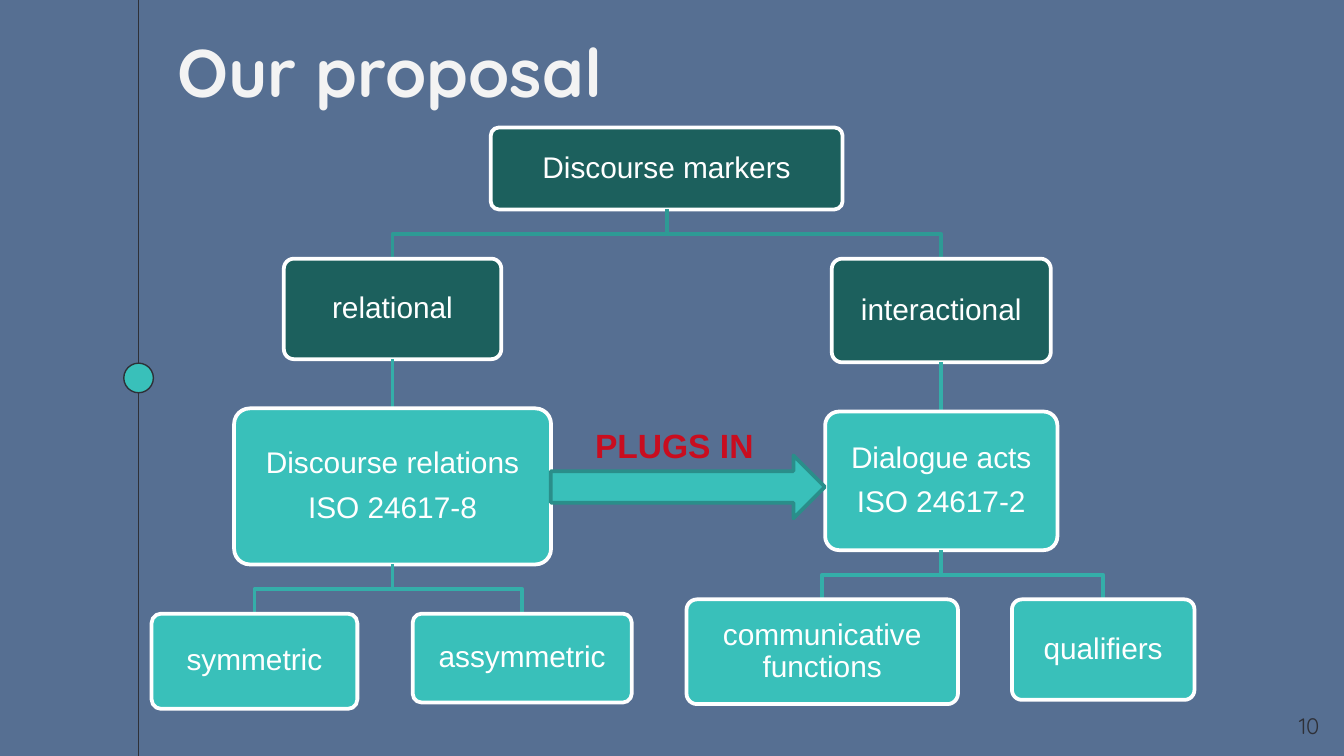
from dataclasses import dataclass

from lxml import etree
from pptx import Presentation
from pptx.dml.color import RGBColor
from pptx.enum.shapes import MSO_CONNECTOR, MSO_SHAPE
from pptx.enum.text import MSO_ANCHOR, MSO_AUTO_SIZE, PP_ALIGN
from pptx.oxml.ns import qn
from pptx.util import Cm, Pt

LINE = MSO_CONNECTOR.STRAIGHT
ROUND, OVAL, ARROW = MSO_SHAPE.ROUNDED_RECTANGLE, MSO_SHAPE.OVAL, MSO_SHAPE.RIGHT_ARROW
LEFT, MID, RIGHT = PP_ALIGN.LEFT, PP_ALIGN.CENTER, PP_ALIGN.RIGHT
TOP, CENTRE = MSO_ANCHOR.TOP, MSO_ANCHOR.MIDDLE
NO_FIT = MSO_AUTO_SIZE.NONE


@dataclass(frozen=True)
class Theme:
    """Colours, fonts and sizes of the slide."""
    back: str = "566F92"
    ink: str = "2E3037"
    pale: str = "F3F3F3"
    white: str = "FFFFFF"
    deep: str = "1C605D"
    teal: str = "39C0BA"
    edge: str = "2A8E8A"
    branch: str = "2E9A95"
    twig: str = "34AEA9"
    red: str = "C90D1F"
    head: str = "Quicksand"
    body: str = "Arial"
    title: int = 36
    label: int = 18
    node: int = 16
    small: int = 12
    thin: float = 0.75
    thick: float = 2


@dataclass(frozen=True)
class Node:
    """A tree node: centre and size in cm, lines of text, shift of each line."""
    lines: tuple
    mid: float
    wide: float
    high: float
    fill: str
    kids: tuple = ()
    link: str = ""
    shift: tuple = (0, 0)


T = Theme()
GAP = 0.93
TREE = Node(("Discourse markers",), 9.73, 6.65, 1.55, T.deep, link=T.branch, kids=(
    Node(("relational",), 4.55, 4.11, 1.9, T.deep, link=T.twig, kids=(
        Node(("Discourse relations", "ISO 24617-8"), 4.55, 5.99, 2.95, T.teal,
             link=T.twig, shift=(-0.31, 0), kids=(
                 Node(("symmetric",), 1.94, 3.89, 1.8, T.teal),
                 Node(("assymmetric",), 7, 4.14, 1.68, T.teal))),)),
    Node(("interactional",), 14.92, 4.14, 1.96, T.deep, link=T.twig, kids=(
        Node(("Dialogue acts", "ISO 24617-2"), 14.92, 4.39, 2.62, T.teal,
             link=T.twig, shift=(0, -0.31), kids=(
                 Node(("communicative functions",), 12.67, 5.13, 1.98, T.teal),
                 Node(("qualifiers",), 17.98, 3.45, 1.9, T.teal))),)),
))


def write(shape, *lines, size, color, font=T.body, bold=False, align=MID, anchor=CENTRE,
          inset=0.25, before=0, after=0, space=1, shift=(0, 0)):
    """Fill a shape with formatted paragraphs."""
    frame = shape.text_frame
    frame.text = "\n".join(lines)
    frame.word_wrap, frame.auto_size, frame.vertical_anchor = True, NO_FIT, anchor
    frame.margin_left = frame.margin_right = Cm(inset)
    frame.margin_top = frame.margin_bottom = Cm(inset)
    for para, move in zip(frame.paragraphs, shift):
        para.alignment, para.line_spacing = align, space
        para.space_before, para.space_after = Pt(before), Pt(after)
        if move:
            para._p.get_or_add_pPr().set("indent", str(Cm(move)))
        face = para.runs[0].font
        face.name, face.size, face.bold = font, Pt(size), bold
        face.color.rgb = RGBColor.from_string(color)


def stroke(shape, color, width):
    """Set the line of a shape or connector."""
    shape.line.color.rgb = RGBColor.from_string(color)
    shape.line.width = Pt(width)


def draw(slide, kind, box, fill, line, width):
    """Add a filled preset shape without shadow."""
    shape = slide.shapes.add_shape(kind, *map(Cm, box))
    shape.shadow.inherit = False
    shape.fill.solid()
    shape.fill.fore_color.rgb = RGBColor.from_string(fill)
    stroke(shape, line, width)
    return shape


def rule(slide, ends, color, width):
    """Add a straight line without shadow."""
    line = slide.shapes.add_connector(LINE, *map(Cm, ends))
    stroke(line, color, width)
    etree.SubElement(line._element.spPr, qn("a:effectLst"))


def link(slide, start, end, color):
    """Join two points with a straight or stepped line."""
    (x, y), (u, v) = start, end
    if x == u:
        rule(slide, (x, y, u, v), color, T.thick)
        return
    half = (y + v) / 2
    pen = slide.shapes.build_freeform(Cm(x), Cm(y))
    pen.add_line_segments([(Cm(a), Cm(b)) for a, b in ((x, half), (u, half), (u, v))],
                          close=False)
    step = pen.convert_to_shape()
    step.shadow.inherit = False
    step.fill.background()
    stroke(step, color, T.thick)


def grow(slide, node, left, top):
    """Draw a node and, below it, its links and children."""
    x, base = left + node.mid, top + node.high
    card = draw(slide, ROUND, (x - node.wide / 2, top, node.wide, node.high),
                node.fill, T.white, T.thick)
    card.adjustments[0] = 0.1
    write(card, *node.lines, size=T.node, color=T.white, inset=0.23,
          after=6.4, space=0.9, shift=node.shift)
    for kid in node.kids:
        link(slide, (x, base), (left + kid.mid, base + GAP), node.link)
        grow(slide, kid, left, base + GAP)


def rail(slide, box):
    """Draw the vertical line with its dot."""
    x, y, w, h = box
    mid = x + w / 2
    rule(slide, (mid, y, mid, y + h), T.ink, T.thin)
    draw(slide, OVAL, (x, y + (h - w) / 2, w, w), T.teal, T.ink, T.thin)


def head(slide, box):
    """Place the title."""
    title = slide.shapes.title
    title.left, title.top, title.width, title.height = map(Cm, box)
    write(title, "Our proposal", size=T.title, color=T.pale, font=T.head,
          bold=True, align=LEFT, before=6)


def page(slide, box):
    """Place the page number."""
    write(slide.shapes.add_textbox(*map(Cm, box)), "10", size=T.small, color=T.ink,
          font=T.head, align=RIGHT, anchor=TOP)


def plug(slide, box):
    """Draw the arrow with its label above."""
    x, y, w, h = box
    draw(slide, ARROW, (x, y + 0.71, w, h - 0.71), T.teal, T.edge, T.thick)
    note = slide.shapes.add_textbox(Cm(x + 0.33), Cm(y), Cm(4.01), Cm(1.02))
    write(note, "PLUGS IN", size=T.label, color=T.red, bold=True, anchor=TOP, inset=0.13)


def main():
    """Build and save the slide."""
    deck = Presentation()
    deck.slide_width, deck.slide_height = Cm(25.4), Cm(14.29)
    slide = deck.slides.add_slide(deck.slide_layouts[5])
    fill = slide.background.fill
    fill.solid()
    fill.fore_color.rgb = RGBColor.from_string(T.back)
    rail(slide, (2.34, 0, 0.56, 14.29))
    head(slide, (3.1, 0.48, 18.54, 1.7))
    page(slide, (23.67, 13.21, 1.52, 0.86))
    grow(slide, TREE, 2.87, 2.41)
    plug(slide, (10.41, 7.9, 5.18, 1.9))
    deck.save("out.pptx")


if __name__ == "__main__":
    main()
